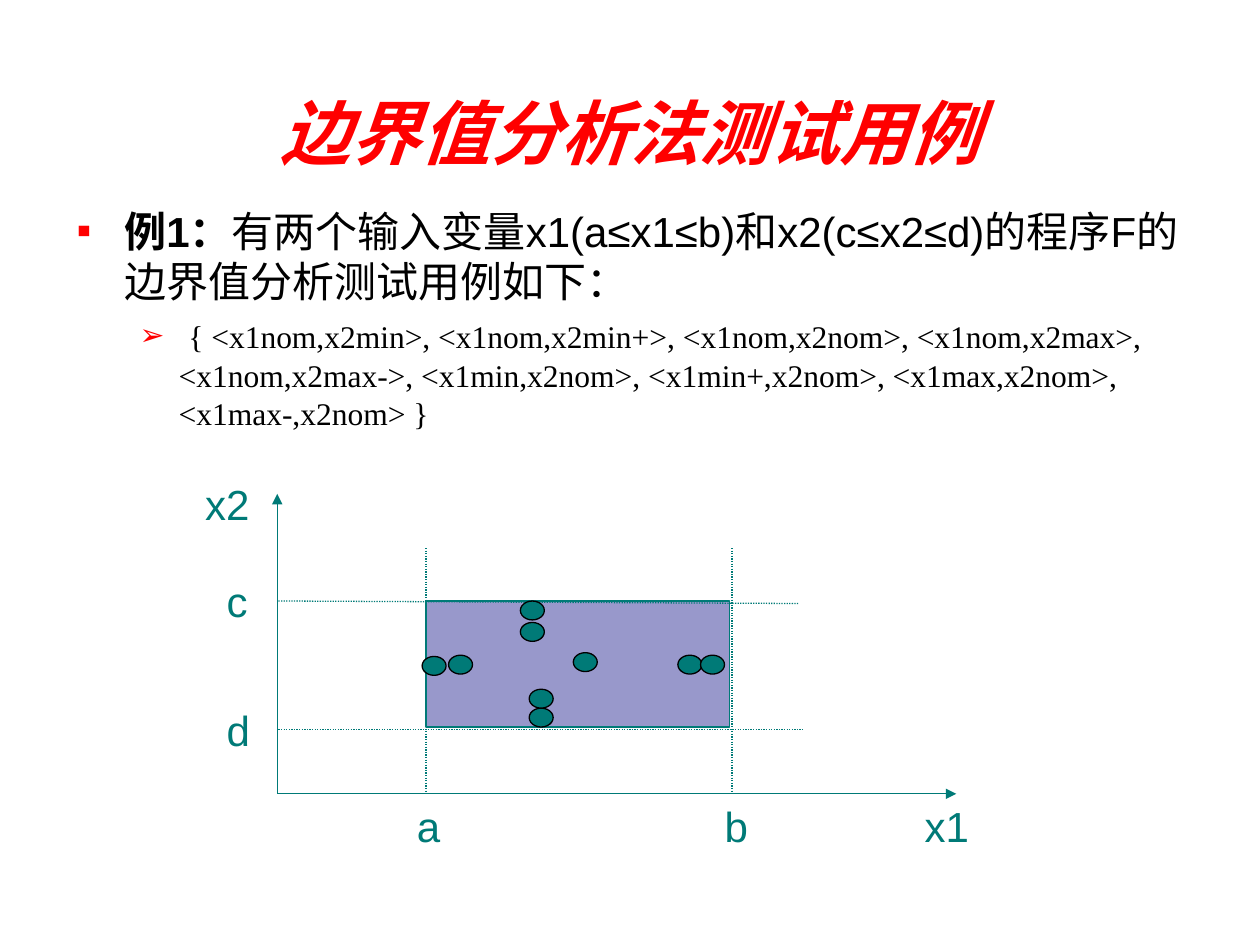
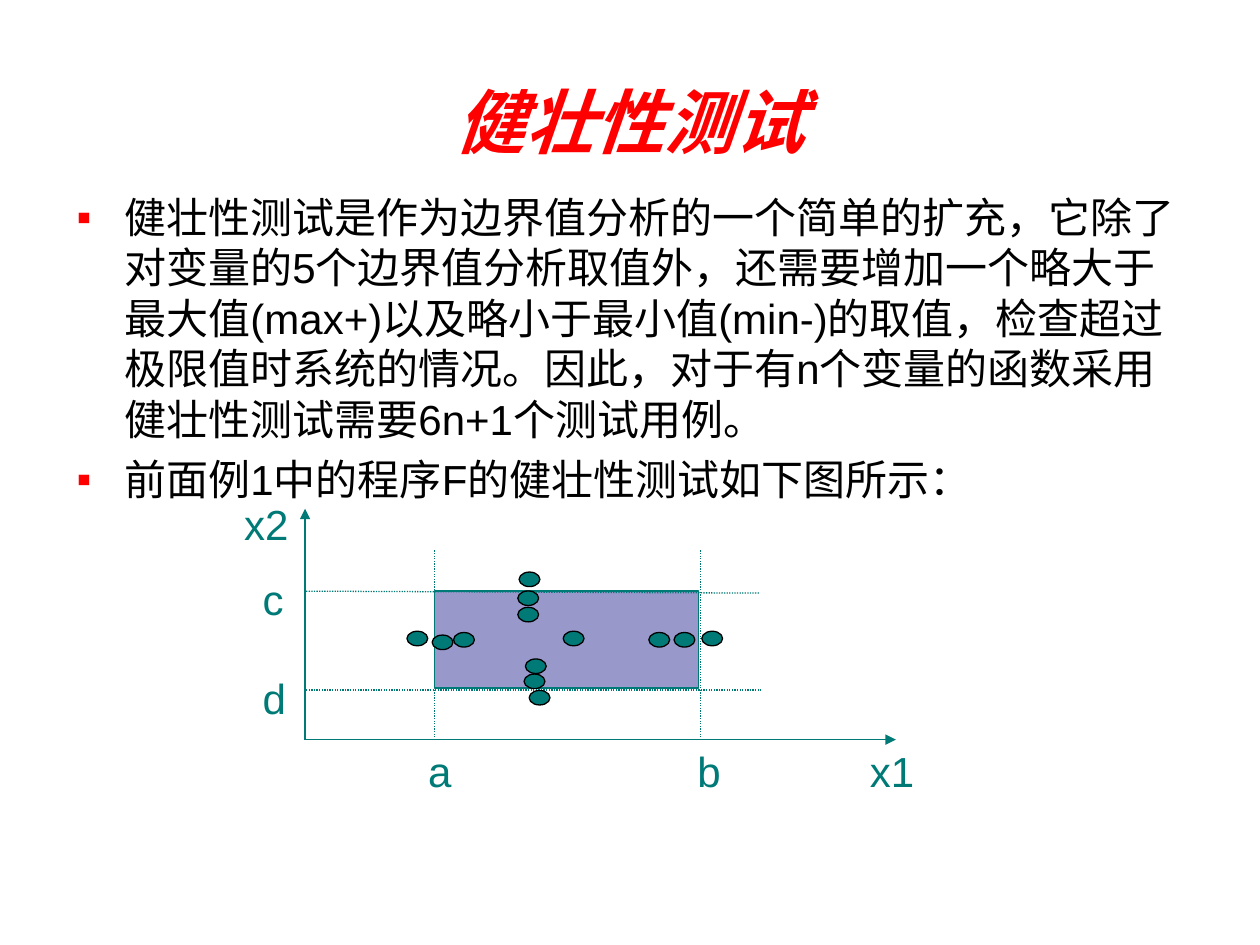
"""Build two slides on boundary value and robustness test cases."""
import lxml.etree
import pptx
import pptx.dml.color
import pptx.enum.dml
import pptx.enum.shapes
import pptx.enum.text
import pptx.oxml.ns
import pptx.util

Inches = pptx.util.Inches
Pt = pptx.util.Pt
RED, BLACK, TEAL, INDIGO = "FF0000", "000000", "007A77", "333399"
SANS, SERIF = "Arial", "Times New Roman"
ORIGIN = (2.21, 6.3)
AXES = [((2.2, 6.3), (2.2, 3.92)), ((2.21, 6.3), (7.59, 6.3))]
LIMITS = [
    ((2.21, 4.77), (6.34, 4.79)),
    ((2.21, 5.79), (6.37, 5.79)),
    ((3.38, 4.35), (3.38, 6.3)),
    ((5.81, 4.35), (5.81, 6.3)),
]
LABELS = [
    ("x1", 7.24, 6.3), ("x2", 1.53, 3.75), ("a", 3.21, 6.3),
    (" b", 5.56, 6.3), ("c", 1.7, 4.52), ("d", 1.7, 5.54),
]
BOUNDARY_CASES = [
    (5.38, 5.2), (4.2, 5.62), (4.2, 5.47), (4.55, 5.18), (4.13, 4.77),
    (3.35, 5.21), (3.56, 5.2), (4.13, 4.94), (5.56, 5.2),
]
ROBUSTNESS_CASES = [
    (5.15, 5.02), (4.16, 5.35), (4.17, 5.23), (4.47, 5.01), (4.11, 4.69),
    (3.43, 5.04), (3.6, 5.02), (4.11, 4.82), (5.35, 5.02),
    (4.12, 4.54), (5.57, 5.01), (4.2, 5.48), (3.23, 5.01),
]


def rgb(value):
    return pptx.dml.color.RGBColor.from_string(value)


def add_xml(parent, tag, **attributes):
    return lxml.etree.SubElement(parent, pptx.oxml.ns.qn(tag), attributes)


def add_run(paragraph, text, size, color, font=SANS, bold=False, italic=False):
    run = paragraph.add_run()
    run.text = text
    run.font.size = Pt(size)
    run.font.name = font
    run.font.bold = bold
    run.font.italic = italic
    run.font.color.rgb = rgb(color)


def add_titled_slide(deck, title, height):
    slide = deck.slides.add_slide(deck.slide_layouts[5])
    heading = slide.shapes.title
    heading.left, heading.top = Inches(0.33), Inches(0.67)
    heading.width, heading.height = Inches(9.34), Inches(height)
    frame = heading.text_frame
    frame.auto_size = pptx.enum.text.MSO_AUTO_SIZE.NONE
    frame.vertical_anchor = pptx.enum.text.MSO_ANCHOR.MIDDLE
    frame.paragraphs[0].alignment = pptx.enum.text.PP_ALIGN.CENTER
    add_run(frame.paragraphs[0], title, 40, RED, bold=True, italic=True)
    return slide


def add_text_frame(shapes, left, top, width, height):
    box = shapes.add_textbox(Inches(left), Inches(top), Inches(width), Inches(height))
    box.text_frame.word_wrap = True
    return box.text_frame


def format_bullet(paragraph, char, indent, hanging, size=100, level=0, before=0):
    paragraph.level = level
    paragraph.space_before = Pt(before)
    properties = paragraph._p.get_or_add_pPr()
    properties.set("marL", str(Inches(indent)))
    properties.set("indent", str(-Inches(hanging)))
    add_xml(add_xml(properties, "a:buClr"), "a:srgbClr", val=RED)
    add_xml(properties, "a:buSzPct", val=str(size * 1000))
    add_xml(properties, "a:buFont", typeface=SANS)
    add_xml(properties, "a:buChar", char=char)


def format_point(paragraph, before=0):
    format_bullet(paragraph, "▪", 0.38, 0.38, before=before)


def add_line(shapes, start, end, arrow=False):
    line = shapes.add_connector(
        pptx.enum.shapes.MSO_CONNECTOR.STRAIGHT,
        *(Inches(value) for value in (*start, *end)))
    line.line.color.rgb = rgb(TEAL)
    line.line.width = Pt(0.75)
    if arrow:
        add_xml(line.line._get_or_add_ln(), "a:tailEnd", type="triangle")
    else:
        line.line.dash_style = pptx.enum.dml.MSO_LINE.ROUND_DOT
    add_xml(line._element.spPr, "a:effectLst")


def add_filled(shapes, kind, left, top, width, height, fill, outline):
    shape = shapes.add_shape(
        kind, Inches(left), Inches(top), Inches(width), Inches(height))
    shape.shadow.inherit = False
    shape.fill.solid()
    shape.fill.fore_color.rgb = rgb(fill)
    shape.line.color.rgb = rgb(outline)
    shape.line.width = Pt(0.75)
    return shape


def add_input_domain(slide, cases, origin=ORIGIN, scale=(1, 1)):
    shapes = slide.shapes.add_group_shape().shapes
    kinds = pptx.enum.shapes.MSO_SHAPE

    def place(point):
        return [origin[i] + (point[i] - ORIGIN[i]) * scale[i] for i in (0, 1)]

    def resize(width, height):
        return width * scale[0], height * scale[1]

    for start, end in AXES:
        add_line(shapes, place(start), place(end), arrow=True)
    domain = add_filled(shapes, kinds.RECTANGLE, *place((3.38, 4.77)),
                        *resize(2.41, 1), INDIGO, TEAL)
    domain_color = domain._element.spPr.find(".//" + pptx.oxml.ns.qn("a:srgbClr"))
    add_xml(domain_color, "a:alpha", val="50000")
    for start, end in LIMITS:
        add_line(shapes, place(start), place(end))
    for text, left, top in LABELS:
        label = add_text_frame(shapes, *place((left, top)), *resize(0.91, 0.52))
        add_run(label.paragraphs[0], text, 24, TEAL)
    for left, top in cases:
        add_filled(shapes, kinds.FLOWCHART_CONNECTOR, left, top,
                   *resize(0.19, 0.15), TEAL, BLACK)


def add_boundary_slide(deck):
    slide = add_titled_slide(deck, "边界值分析法测试用例", 0.75)
    body = add_text_frame(slide.shapes, 0.51, 1.58, 9.06, 5.17)
    example = body.paragraphs[0]
    format_point(example)
    add_run(example, "例1：", 24, BLACK, bold=True)
    add_run(example, "有两个输入变量x1(a≤x1≤b)和x2(c≤x2≤d)的程序F的边界值分析测试用例如下：",
            24, BLACK)
    case_set = body.add_paragraph()
    format_bullet(case_set, "➢", 0.81, 0.31, size=85, level=1, before=4.5)
    add_run(case_set, " ", 20, BLACK)
    add_run(case_set,
            "{ <x1nom,x2min>, <x1nom,x2min+>, <x1nom,x2nom>, <x1nom,x2max>, "
            "<x1nom,x2max->, <x1min,x2nom>, <x1min+,x2nom>, <x1max,x2nom>, "
            "<x1max-,x2nom> }", 18, BLACK, SERIF)
    add_input_domain(slide, BOUNDARY_CASES)


def add_robustness_slide(deck):
    slide = add_titled_slide(deck, "健壮性测试", 0.58)
    body = add_text_frame(slide.shapes, 0.51, 1.47, 9.06, 4.25)
    definition = body.paragraphs[0]
    format_point(definition)
    add_run(definition,
            "健壮性测试是作为边界值分析的一个简单的扩充，它除了对变量的5个边界值分析取值外，"
            "还需要增加一个略大于最大值(max+)以及略小于最小值(min-)的取值，"
            "检查超过极限值时系统的情况。"
            "因此，对于有n个变量的函数采用健壮性测试需要6n+1个测试用例。", 24, BLACK)
    example = body.add_paragraph()
    format_point(example, before=6)
    add_run(example, "前面例1中的程序F的健壮性测试如下图所示：", 24, BLACK)
    add_input_domain(slide, ROBUSTNESS_CASES, (2.43, 5.87), (0.87, 0.77))


def main():
    deck = pptx.Presentation()
    deck.slide_width, deck.slide_height = Inches(10), Inches(7.5)
    add_boundary_slide(deck)
    add_robustness_slide(deck)
    deck.save("out.pptx")


if __name__ == "__main__":
    main()
